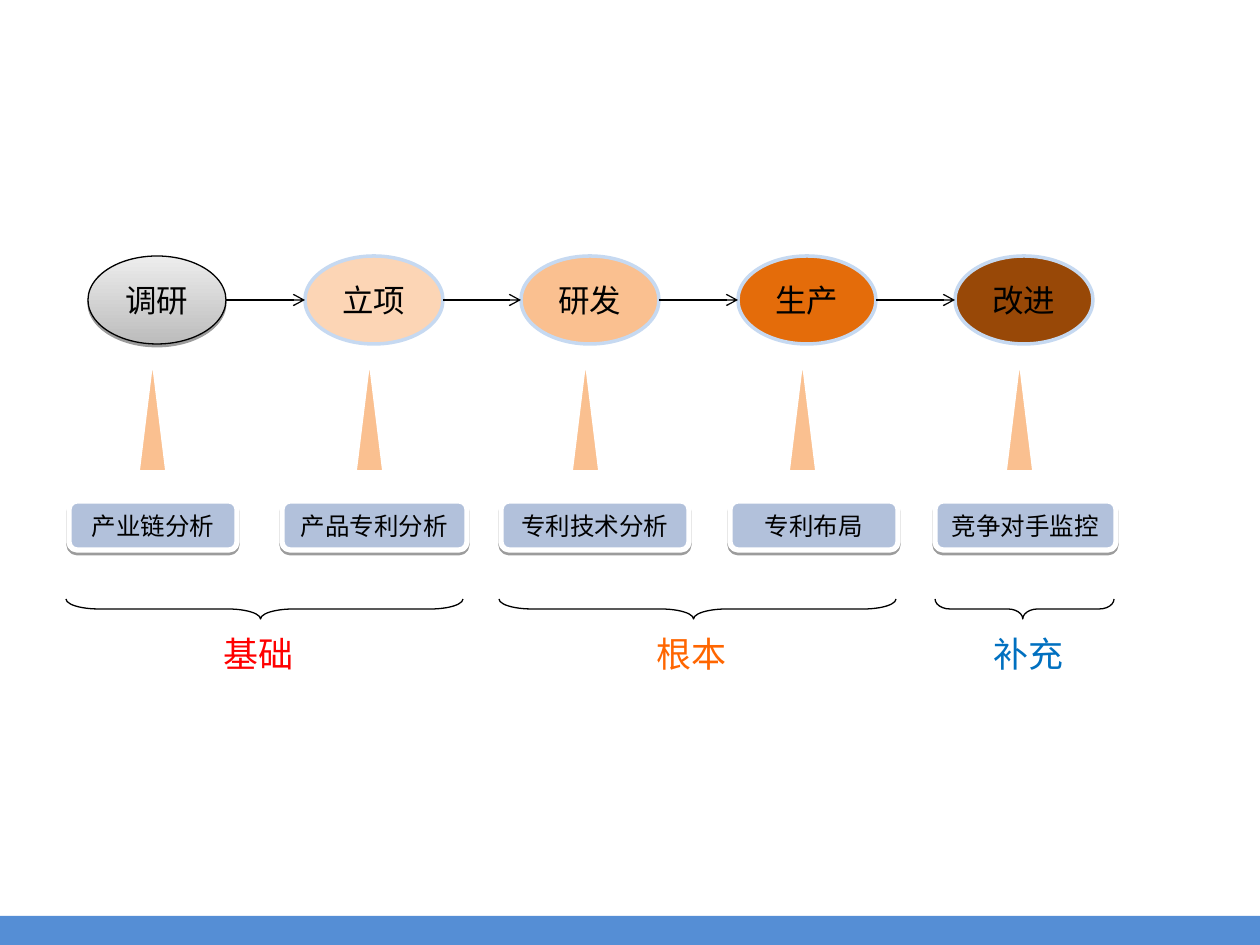
from lxml import etree
from pptx import Presentation
from pptx import util as u
from pptx.dml.color import RGBColor
from pptx.enum import shapes, text
from pptx.oxml import parse_xml
from pptx.oxml.ns import nsdecls, qn

PX = u.Inches(1) / 126
KIND = shapes.MSO_SHAPE
CJK = "Noto Sans CJK SC"
STAGE_X, STAGE_Y, STAGE_W, STAGE_H = 88, 256, 138, 88
PITCH = 216.7

STAGES = [("调研", None), ("立项", "FCD5B5"), ("研发", "FAC090"),
          ("生产", "E46C0A"), ("改进", "984807")]
TASKS = [("产业链分析", 69, 168, "Calibri"),
         ("产品专利分析", 282, 185, "Calibri"),
         ("专利技术分析", 501, 188, "Calibri"),
         ("专利布局", 730, 168, CJK),
         ("竞争对手监控", 935, 181, CJK)]
GROUPS = [("基础", "FF0000", 66, 397, 165),
          ("根本", "FF6600", 499, 397, 598),
          ("补充", "0070C0", 935, 179, 935)]


def px(n):
    return u.Emu(round(n * PX))


def rgb(value):
    return RGBColor.from_string(value)


def set_line(line, color, width):
    line.color.rgb = rgb(color)
    line.width = u.Pt(width)


def add_shape(s, kind, x, y, w, h, fill=None, line=None, width=0.75):
    sp = s.shapes.add_shape(kind, px(x), px(y), px(w), px(h))
    sp.shadow.inherit = False
    if fill:
        sp.fill.solid()
        sp.fill.fore_color.rgb = rgb(fill)
    else:
        sp.fill.background()
    if line:
        set_line(sp.line, line, width)
    else:
        sp.line.fill.background()
    return sp


def add_shadow(sp):
    effects = sp._element.spPr.find(qn("a:effectLst"))
    effects.append(parse_xml(
        f'<a:outerShdw {nsdecls("a")} blurRad="0" dist="{u.Pt(1.6)}" dir="5400000" '
        'algn="ctr" rotWithShape="0"><a:srgbClr val="000000">'
        '<a:alpha val="38000"/></a:srgbClr></a:outerShdw>'))


def set_text(sp, words, size, font, color="000000"):
    tf = sp.text_frame
    tf.word_wrap = True
    tf.vertical_anchor = text.MSO_ANCHOR.MIDDLE
    p = tf.paragraphs[0]
    p.text = words
    p.alignment = text.PP_ALIGN.CENTER
    r = p.runs[0]
    r.font.size = u.Pt(size)
    r.font.name = font
    r.font.color.rgb = rgb(color)


def add_stage(s, words, fill, x):
    sp = add_shape(s, KIND.OVAL, x, STAGE_Y, STAGE_W, STAGE_H, fill, "C6D9F1", 2)
    if not fill:
        sp.fill.gradient()
        sp.fill.gradient_angle = 90
        for stop, color in zip(sp.fill.gradient_stops, ("BCBCBC", "EDEDED")):
            stop.color.rgb = rgb(color)
        set_line(sp.line, "000000", 0.75)
        add_shadow(sp)
    set_text(sp, words, 18, "Calibri")


def add_arrow(s, x1, x2, y):
    c = s.shapes.add_connector(shapes.MSO_CONNECTOR.STRAIGHT,
                               px(x1), px(y), px(x2), px(y))
    set_line(c.line, "000000", 0.75)
    etree.SubElement(c.line._get_or_add_ln(), qn("a:tailEnd"), type="arrow")
    etree.SubElement(c._element.spPr, qn("a:effectLst"))


def add_task(s, words, x, w, font):
    sp = add_shape(s, KIND.ROUNDED_RECTANGLE, x, 501, w, 49, "B2C1DB", "FFFFFF", 3)
    add_shadow(sp)
    set_text(sp, words, 14, font)


def add_brace(s, x, y, length, depth):
    sp = add_shape(s, KIND.RIGHT_BRACE, x + (length - depth) / 2,
                   y + (depth - length) / 2, depth, length, line="000000")
    sp.rotation = 90
    sp.adjustments[0] = round(length / depth / 12, 2)
    sp.adjustments[1] = 0.51


def add_group(s, words, color, x, w, label_x):
    add_brace(s, x, 599, w, 20)
    sp = add_shape(s, KIND.ROUNDED_RECTANGLE, label_x, 629, 188, 49, "FFFFFF")
    set_text(sp, words, 20, CJK, color)


def main():
    prs = Presentation()
    prs.slide_width, prs.slide_height = px(1260), px(945)
    s = prs.slides.add_slide(prs.slide_layouts[6])
    xs = [STAGE_X + round(i * PITCH) for i in range(len(STAGES))]
    for x, (words, fill) in zip(xs, STAGES):
        add_stage(s, words, fill, x)
    for x, following in zip(xs, xs[1:]):
        add_arrow(s, x + STAGE_W, following, STAGE_Y + STAGE_H // 2)
    for x, task in zip(xs, TASKS):
        add_shape(s, KIND.ISOSCELES_TRIANGLE, x + 50, 354, 29, 118,
                  "FAC090", "FFFFFF", 2)
        add_task(s, *task)
    for group in GROUPS:
        add_group(s, *group)
    add_shape(s, KIND.RECTANGLE, 0, 916, 1260, 29, "558ED5")
    prs.save("out.pptx")


if __name__ == "__main__":
    main()
